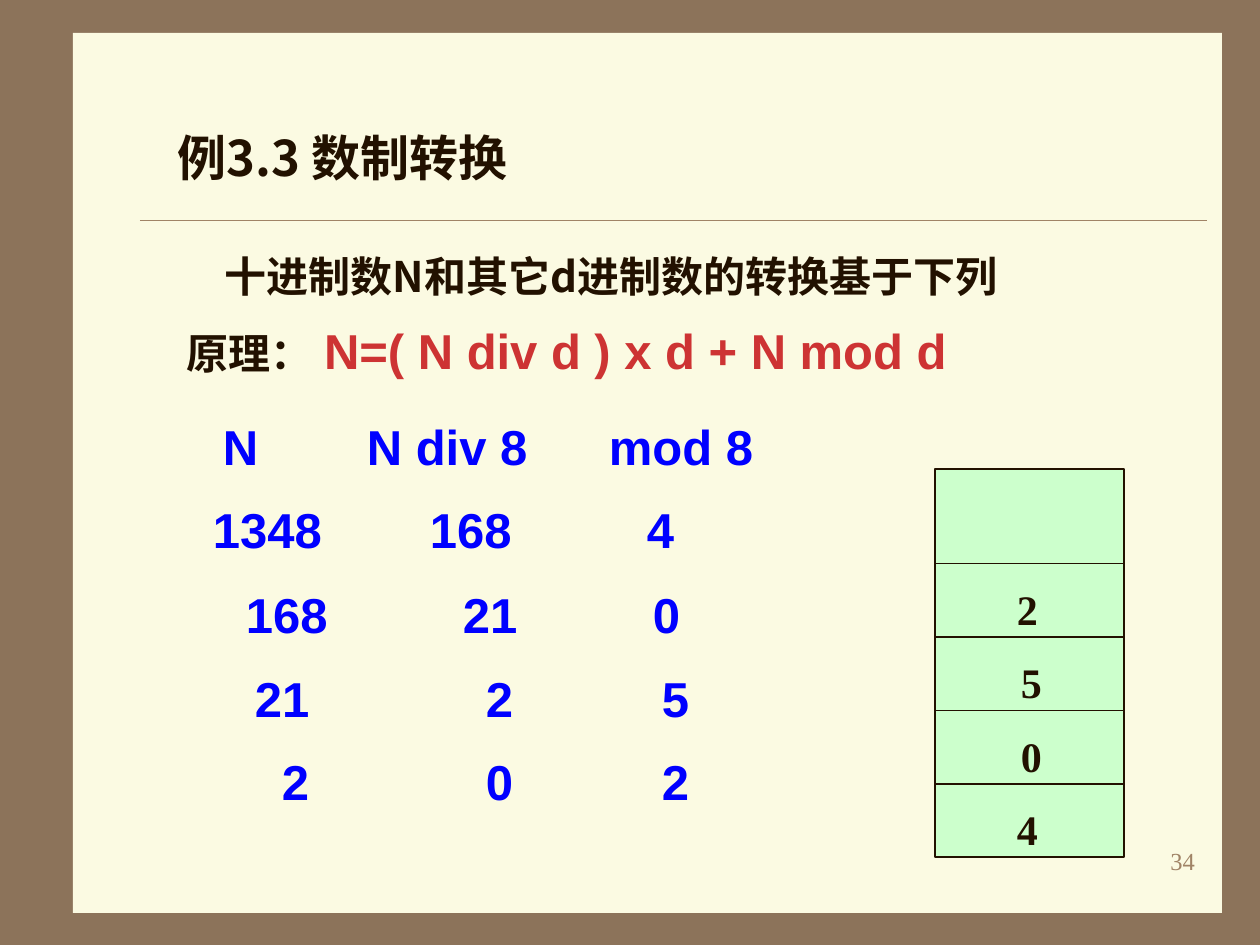
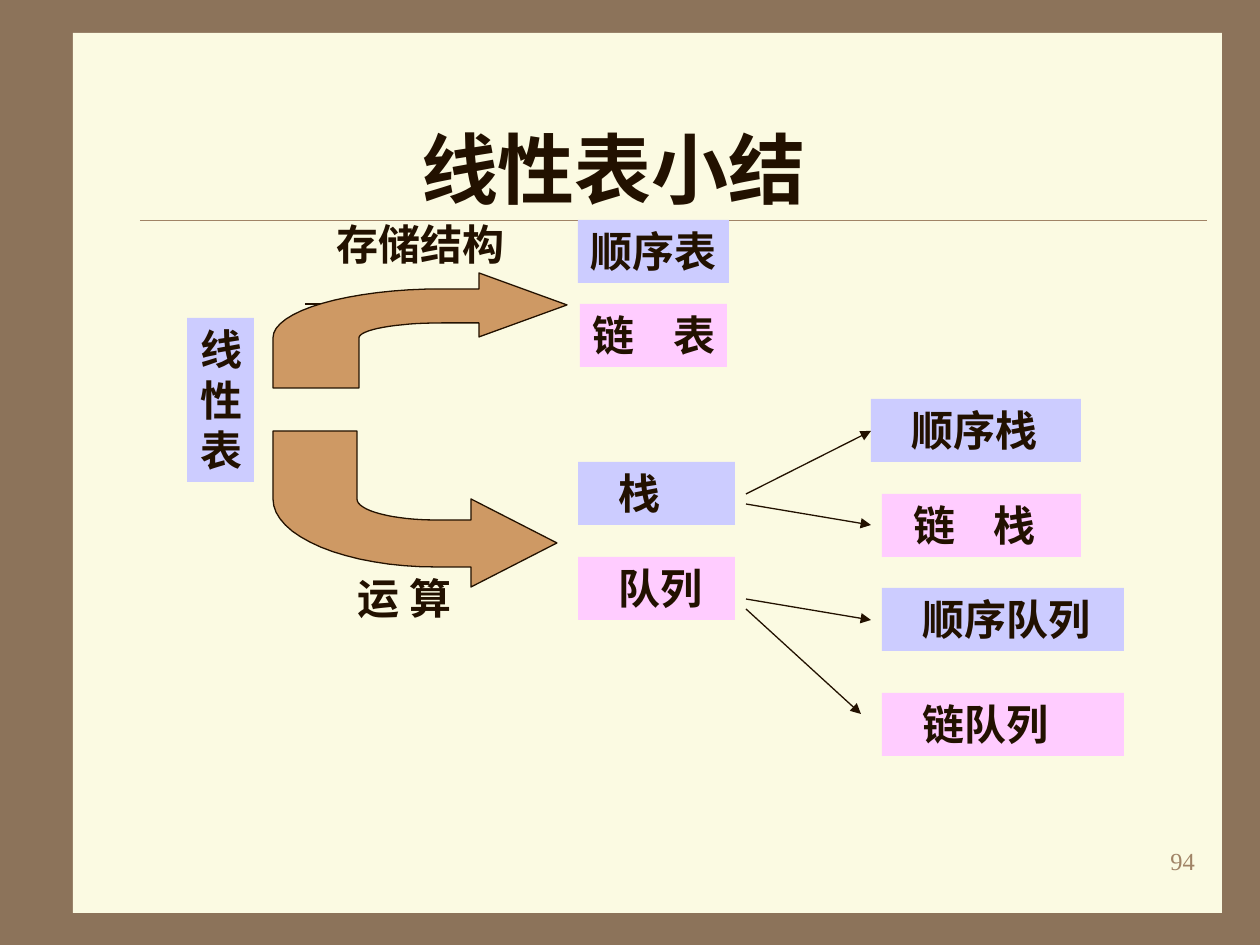
from math import cos, pi, sin

from pptx import Presentation
from pptx.dml.color import RGBColor
from pptx.enum.shapes import MSO_CONNECTOR, MSO_SHAPE
from pptx.enum.text import MSO_ANCHOR, MSO_AUTO_SIZE, PP_ALIGN
from pptx.oxml.ns import qn
from pptx.util import Pt
from lxml import etree

UNIT = 914400 / 126
RECT, LINE = MSO_SHAPE.RECTANGLE, MSO_CONNECTOR.STRAIGHT
LEFT, RIGHT = PP_ALIGN.LEFT, PP_ALIGN.RIGHT
TOP, FIXED = MSO_ANCHOR.TOP, MSO_AUTO_SIZE.NONE
HAN, SERIF, SANS = "Noto Sans CJK SC", "Times New Roman", "Arial"
INK = {"edge": "8C735A", "page": "FBFAE2", "rule": "A08366", "text": "221100",
       "red": "CD3333", "blue": "0000FF", "green": "CCFFCC", "lilac": "CCCCFF",
       "pink": "FFCCFF", "tan": "CE9964"}

# A run is (tab stop, text, size, font, colour); stop 0 means no tab.
HEAD_1 = [[(0, "例3.3 ", 28, HAN, "text"), (0, "数制转换", 28, SERIF, "text")]]
HEAD_2 = [[(20, "线性表小结", 44, SERIF, "text")]]
RULES = [
    [(38, "", 32, HAN, "text"),
     (0, "十进制数N和其它d进制数的转换基于下列", 24, HAN, "text")],
    [(0, "原理：", 24, HAN, "text"), (0, " ", 28, HAN, "text"),
     (0, "N=( N div d ) x d + N mod d", 28, SANS, "red")],
]
STEPS = [
    (210, [(0, "N"), (144, "N div 8"), (386, "mod 8")]),
    (200, [(0, "1348"), (217, "168"), (434, "4")]),
    (233, [(0, "168"), (217, "21"), (407, "0")]),
    (202, [(40, "21"), (271, "2"), (447, "5")]),
    (202, [(67, "2"), (271, "0"), (447, "2")]),
]
STACK = [("4", 1004), ("0", 1008), ("5", 1008), ("2", 1004)]
NODES = [
    ((187, 318, 67, 164), "lilac", [[(0, "线")], [(0, "性")], [(0, "表")]]),
    ((324, 213, 193, 63), None, [[(0, "存储结构")]]),
    ((297, 567, 166, 63), None, [[(48, "运 算")]]),
    ((578, 557, 157, 63), "pink", [[(28, "队列")]]),
    ((580, 304, 147, 63), "pink", [[(0, "链"), (80, "表")]]),
    ((578, 220, 151, 63), "lilac", [[(0, "顺序表")]]),
    ((578, 462, 157, 63), "lilac", [[(28, "栈")]]),
    ((871, 399, 210, 63), "lilac", [[(28, "顺序栈")]]),
    ((882, 494, 199, 63), "pink", [[(19, "链"), (99, "栈")]]),
    ((882, 588, 242, 63), "lilac", [[(28, "顺序队列")]]),
    ((882, 693, 242, 63), "pink", [[(28, "链队列")]]),
]
LINKS = [(746, 494, 871, 431), (746, 504, 871, 525),
         (746, 599, 871, 620), (746, 609, 861, 714)]
BENDS = [
    dict(mid=(442, 338), foot=388, out=(169, 49), inn=(83, 15),
         neck=479, tip=(567, 305), barb=32, way=-1),
    dict(mid=(436, 499), foot=431, out=(163, 68), inn=(79, 21),
         neck=471, tip=(557, 543), barb=44, way=1),
]


def px(*nums):
    return [round(n * UNIT) for n in nums]


def tint(name):
    return RGBColor.from_string(INK[name])


def paint(shape, fill, line=None, width=0.75):
    shape.shadow.inherit = False
    shape.fill.solid()
    shape.fill.fore_color.rgb = tint(fill)
    if line:
        shape.line.color.rgb = tint(line)
        shape.line.width = Pt(width)
    else:
        shape.line.fill.background()


def write(shape, paras, align=LEFT, lead=None):
    frame = shape.text_frame
    frame.word_wrap = True
    frame.auto_size = FIXED
    frame.vertical_anchor = TOP
    frame.margin_left, frame.margin_top, frame.margin_bottom = px(13, 6, 6)
    frame.margin_right = 0
    for i, runs in enumerate(paras):
        para = frame.add_paragraph() if i else frame.paragraphs[0]
        stops = [run[0] for run in runs if run[0]]
        if stops:
            tabs = etree.SubElement(para._p.get_or_add_pPr(), qn("a:tabLst"))
            for pos in px(*stops):
                etree.SubElement(tabs, qn("a:tab"), pos=str(pos), algn="l")
        para.alignment = align
        if lead:
            para.line_spacing = lead
        for stop, text, size, face, ink in runs:
            run = para.add_run()
            run.text = ("\t" if stop else "") + text
            font = run.font
            font.name, font.size = face, Pt(size)
            font.bold = ink != "rule"
            font.color.rgb = tint(ink)
            east = etree.SubElement(run._r.get_or_add_rPr(), qn("a:ea"))
            east.set("typeface", HAN)


def label(slide, box, paras, fill=None, **look):
    if fill:
        shape = slide.shapes.add_shape(RECT, *px(*box))
        paint(shape, fill)
    else:
        shape = slide.shapes.add_textbox(*px(*box))
    write(shape, paras, **look)


def stroke(slide, ends, ink="text", width=0.75, arrow=False):
    line = slide.shapes.add_connector(LINE, *px(*ends))
    line.line.color.rgb = tint(ink)
    line.line.width = Pt(width)
    if arrow:
        etree.SubElement(line.line._get_or_add_ln(), qn("a:tailEnd"), type="triangle")
    etree.SubElement(line._element.spPr, qn("a:effectLst"))


def start(deck, head, box, number):
    slide = deck.slides.add_slide(deck.slide_layouts[5])
    slide.background.fill.solid()
    slide.background.fill.fore_color.rgb = tint("edge")
    paint(slide.shapes.add_shape(RECT, *px(73, 33, 1149, 880)), "page")
    stroke(slide, (140, 220, 1207, 220), "rule", 0.25)
    title = slide.shapes.title
    title.left, title.top, title.width, title.height = px(*box)
    write(title, head)
    slide.shapes._spTree.append(title._element)
    label(slide, (945, 840, 250, 63), [[(0, number, 14, SERIF, "rule")]], align=RIGHT)
    return slide


def bend(slide, mid, foot, out, inn, neck, tip, barb, way):
    def arc(radii):
        turns = [pi / 2 * i / 16 for i in range(17)]
        return [(mid[0] - radii[0] * cos(t), mid[1] + way * radii[1] * sin(t))
                for t in turns]

    outer, inner = arc(out), arc(inn)[::-1]
    reach = way * barb
    points = [(outer[0][0], foot), *outer, (neck, outer[-1][1]),
              (neck, tip[1] + reach), tip, (neck, tip[1] - reach),
              (neck, inner[0][1]), *inner, (inner[-1][0], foot)]
    points = [(x * 10, y * 10) for x, y in points]
    form = slide.shapes.build_freeform(*points[0], scale=UNIT / 10)
    form.add_line_segments(points[1:], close=True)
    paint(form.convert_to_shape(), "tan", "text")


def convert(deck):
    slide = start(deck, HEAD_1, (165, 122, 390, 72), "34")
    label(slide, (174, 210, 922, 176), RULES, lead=1.3)
    for i, (left, cells) in enumerate(STEPS):
        runs = [(stop, text, 28, SANS, "blue") for stop, text in cells]
        label(slide, (left, 410 + 84 * i, 556, 72), [runs])
    paint(slide.shapes.add_shape(RECT, *px(935, 469, 189, 388)), "green", "text")
    for i, (digit, left) in enumerate(STACK):
        y = 784 - 73.5 * i
        stroke(slide, (935, y, 1124, y))
        label(slide, (left, y + 14, 45, 63), [[(0, digit, 24, SERIF, "text")]])


def review(deck):
    slide = start(deck, HEAD_2, (388, 116, 441, 106), "94")
    stroke(slide, (305, 304, 535, 304), arrow=True)
    for box, fill, lines in NODES:
        paras = [[(stop, text, 24, SERIF, "text") for stop, text in line]
                 for line in lines]
        label(slide, box, paras, fill)
    for ends in LINKS:
        stroke(slide, ends, arrow=True)
    for part in BENDS:
        bend(slide, **part)


def main():
    deck = Presentation()
    deck.slide_width, deck.slide_height = px(1260, 945)
    convert(deck)
    review(deck)
    deck.save("out.pptx")


if __name__ == "__main__":
    main()
